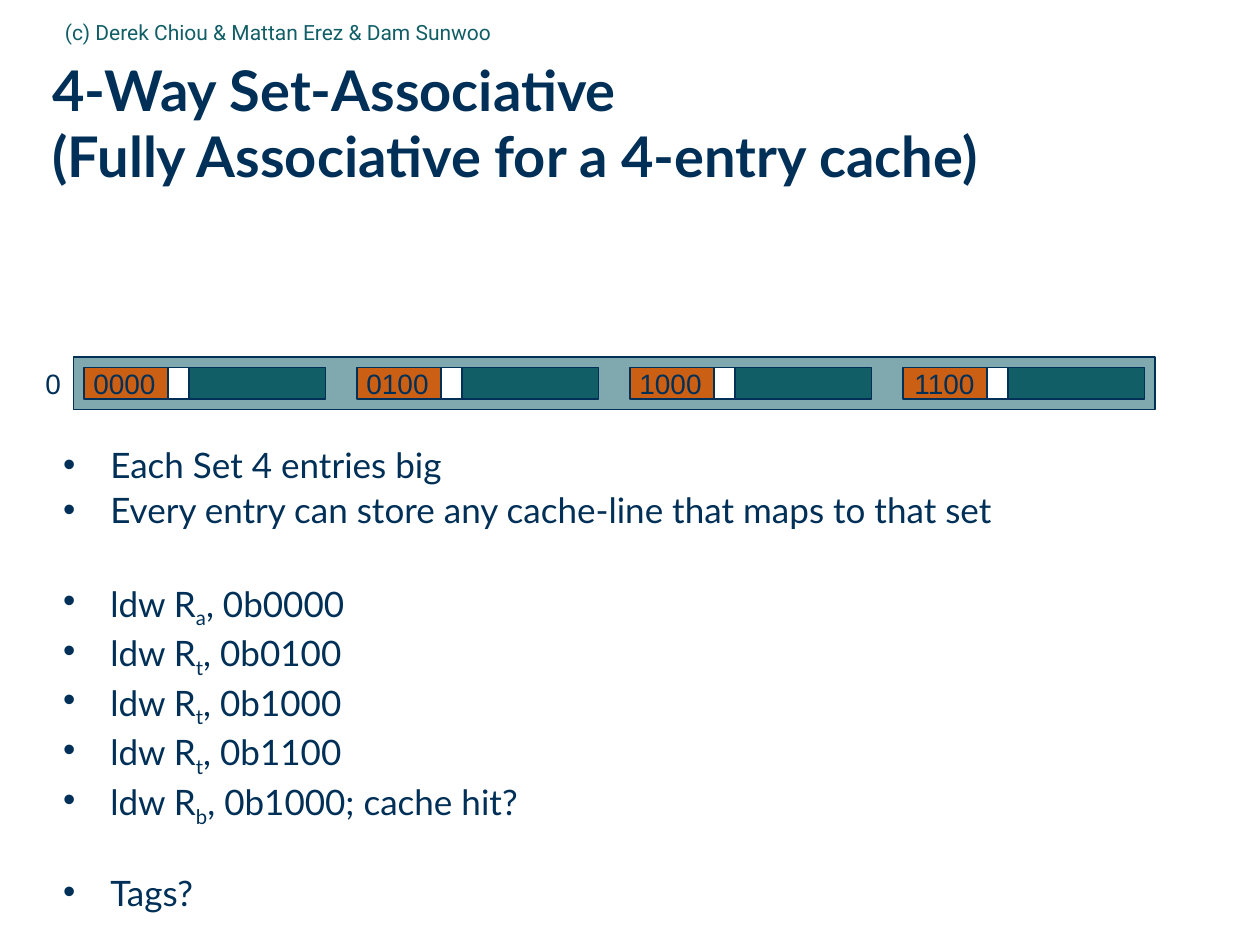
"""Build the slide on a four-way set-associative cache."""
from lxml import etree
from pptx import Presentation
from pptx.dml import color
from pptx.enum import shapes, text
from pptx.oxml import ns
from pptx.util import Pt

NAVY, TEAL, PALE, ORANGE, WHITE = "003057", "115E67", "7FA9AE", "CB6015", "FFFFFF"


def paint(target, value):
    if hasattr(target, "solid"):
        target.solid()
        target = target.fore_color
    target.rgb = color.RGBColor.from_string(value)


def add_span(para, words, size, font="Lato", ink=NAVY):
    span = para.add_run()
    span.text = words
    span.font.size = Pt(size)
    span.font.name = font
    paint(span.font.color, ink)
    return span


deck = Presentation()
deck.slide_width, deck.slide_height = Pt(720), Pt(540)
page = deck.slides.add_slide(deck.slide_layouts[1])
title, body = page.shapes.title, page.placeholders[1]

for holder, place, anchor in (
    (title, (30, 36, 677.5, 70.5), text.MSO_ANCHOR.MIDDLE),
    (body, (36, 258, 672, 250.5), text.MSO_ANCHOR.TOP),
):
    holder.left, holder.top, holder.width, holder.height = map(Pt, place)
    frame = holder.text_frame
    frame.margin_left = frame.margin_right = frame.margin_top = frame.margin_bottom = 0
    frame.vertical_anchor = anchor
    frame.word_wrap = True
    frame.auto_size = text.MSO_AUTO_SIZE.NONE

para = title.text_frame.paragraphs[0]
para.alignment = text.PP_ALIGN.LEFT
para.line_spacing = 0.99
add_span(para, "4-Way Set-Associative", 32).font.bold = True
para.add_line_break()
add_span(para, "(Fully Associative for a 4-entry cache)", 32).font.bold = True

bullets = [
    (0, "Each Set 4 entries big", "", ""),
    (6.5, "Every entry can store any cache-line that maps to that set", "", ""),
    (32.2, "ldw R", "a", ", 0b0000"),
    (6.5, "ldw R", "t", ", 0b0100"),
    (6.5, "ldw R", "t", ", 0b1000"),
    (6.5, "ldw R", "t", ", 0b1100"),
    (6.5, "ldw R", "b", ", 0b1000; cache hit?"),
    (32.2, "Tags?", "", ""),
]
for index, (space, start, subscript, rest) in enumerate(bullets):
    frame = body.text_frame
    para = frame.add_paragraph() if index else frame.paragraphs[0]
    props = para._p.get_or_add_pPr()
    props.set("marL", str(Pt(27)))
    props.set("indent", str(-Pt(27)))
    tint = etree.SubElement(props, ns.qn("a:buClr"))
    etree.SubElement(tint, ns.qn("a:srgbClr"), val=NAVY)
    etree.SubElement(props, ns.qn("a:buFont"), typeface="Arial")
    etree.SubElement(props, ns.qn("a:buChar"), char="•")
    para.line_spacing = 0.8
    para.space_before = Pt(space)
    add_span(para, start, 20)
    if subscript:
        span = add_span(para, subscript, 20)
        span._r.get_or_add_rPr().set("baseline", "-25000")
        add_span(para, rest, 20)

credit = page.shapes.add_textbox(Pt(30), Pt(2), Pt(408), Pt(33))
credit.text_frame.word_wrap = True
credit.text_frame.vertical_anchor = text.MSO_ANCHOR.MIDDLE
add_span(credit.text_frame.paragraphs[0], "(c) Derek Chiou & Mattan Erez & Dam Sunwoo",
         12, "Roboto", TEAL)

set_number = page.shapes.add_textbox(Pt(12), Pt(204), Pt(30), Pt(30))
labels = [(set_number, "0")]
blocks = [(42, 204, 618, 30, PALE, "")]
for way, tag in enumerate(("0000", "0100", "1000", "1100")):
    left = 48 + 156 * way
    blocks += [
        (left, 210, 48, 18, ORANGE, tag),
        (left + 48, 210, 12, 18, WHITE, ""),
        (left + 60, 210, 78, 18, TEAL, ""),
    ]

for left, top, width, height, fill, tag in blocks:
    block = page.shapes.add_shape(shapes.MSO_SHAPE.RECTANGLE,
                                  Pt(left), Pt(top), Pt(width), Pt(height))
    block.shadow.inherit = False
    paint(block.fill, fill)
    paint(block.line.fill, NAVY)
    block.line.width = Pt(0.75)
    if tag:
        labels.append((block, tag))

for box, words in labels:
    box.text_frame.word_wrap = False
    box.text_frame.vertical_anchor = text.MSO_ANCHOR.MIDDLE
    para = box.text_frame.paragraphs[0]
    para.alignment = text.PP_ALIGN.RIGHT
    add_span(para, words, 16, "Arial")

deck.save("out.pptx")
